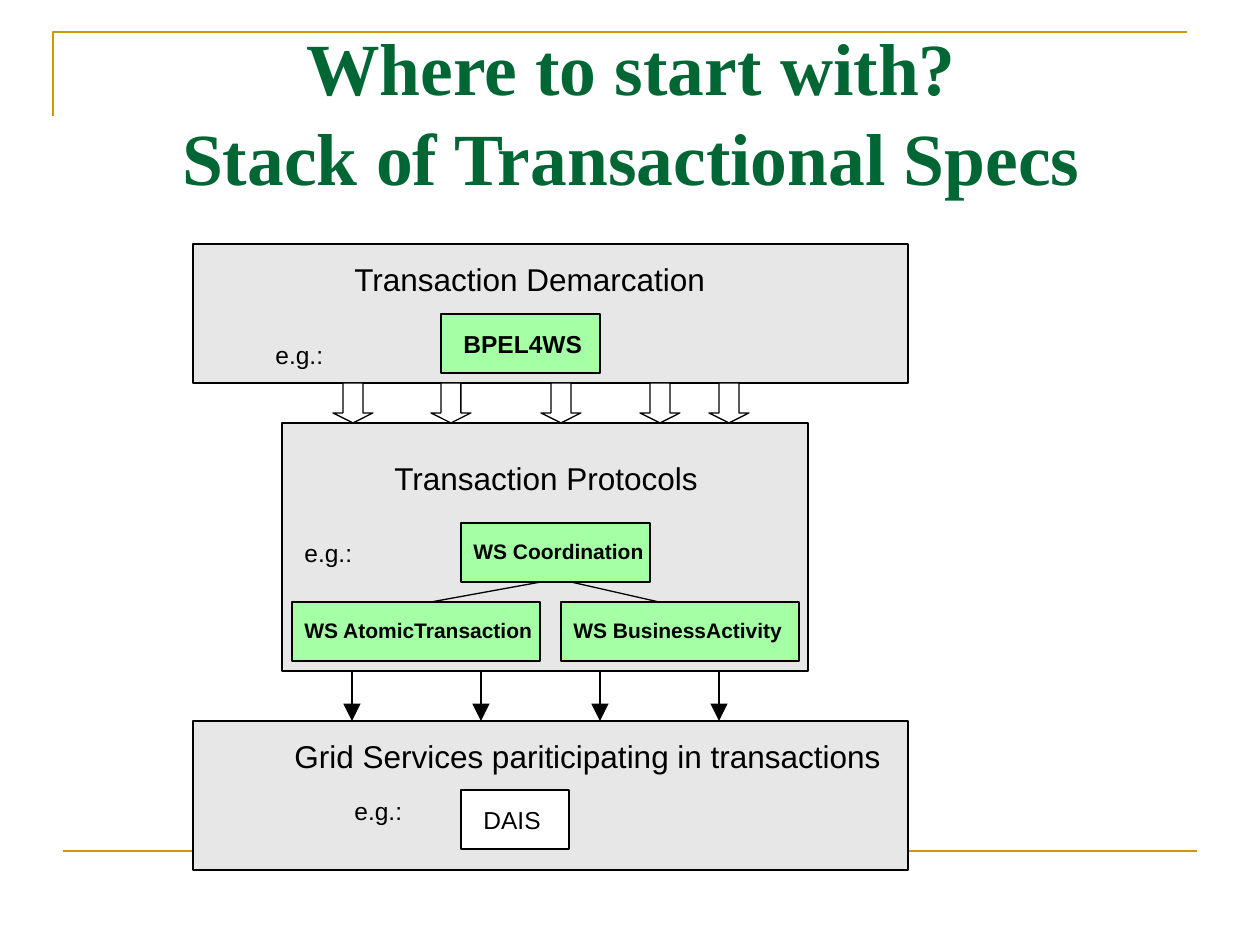
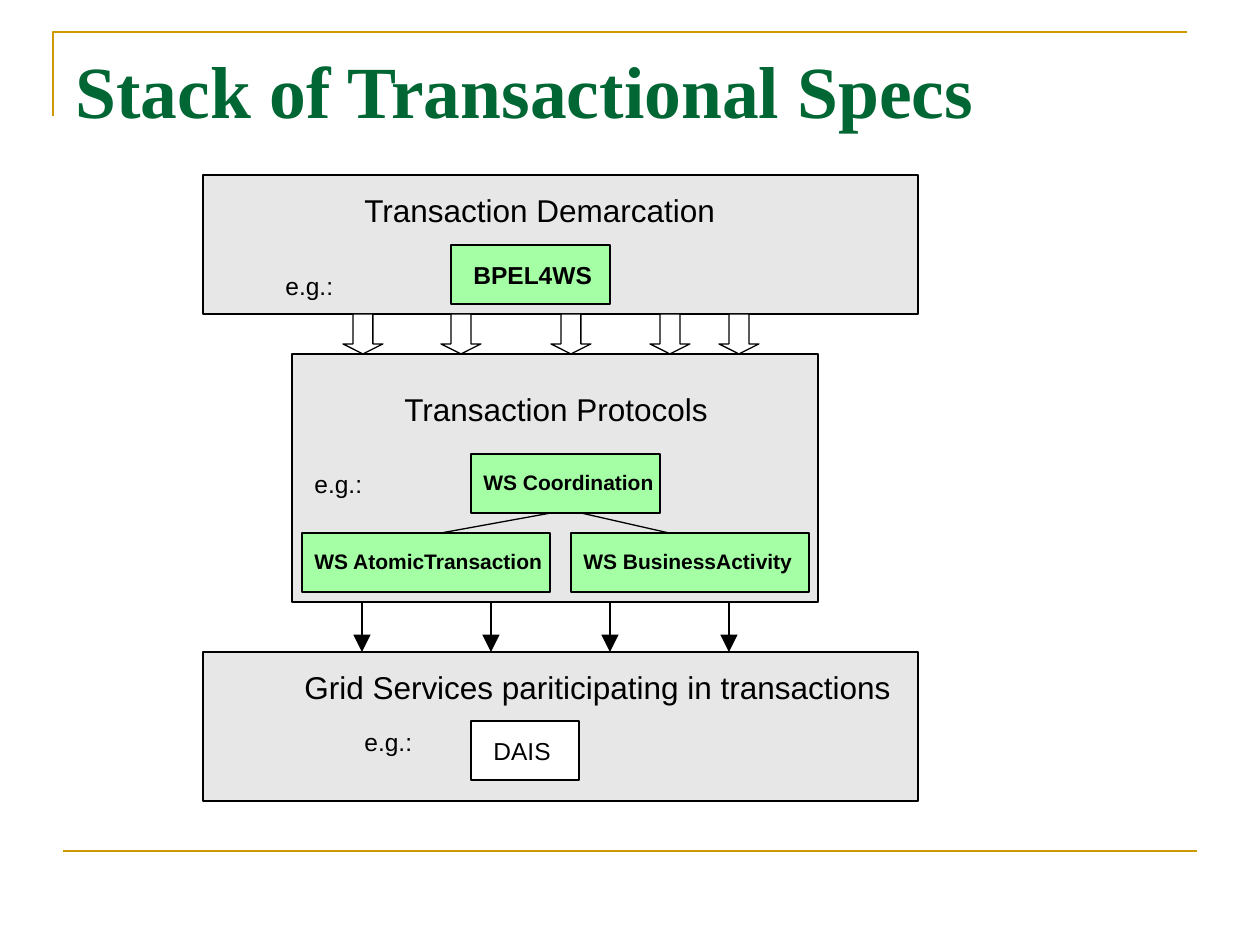
from lxml import etree
from pptx import Presentation, util as u
from pptx.dml.color import RGBColor
from pptx.enum import shapes, text
from pptx.oxml.ns import qn

PX = u.Inches(1) / 126
GOLD, GREEN, BLACK, WHITE = "CC9900", "006633", "000000", "FFFFFF"
PANEL, SPEC = "E7E7E7", "A5FFA5"
TITLE = {"name": "Times New Roman", "size": u.Pt(42), "bold": True}
HEADING = {"name": "Arial", "size": u.Pt(18), "bold": False}
BODY = {"name": "Arial", "size": u.Pt(14), "bold": False}
BODY_BOLD = {**BODY, "bold": True}
SMALL_BOLD = {**BODY_BOLD, "size": u.Pt(12)}
TEXT_HEIGHT = {18: 50, 14: 43, 12: 38}


def px(n):
    return u.Emu(round(n * PX))


def color(hex_string):
    return RGBColor.from_string(hex_string)


class Deck:
    def __init__(self):
        self.prs = Presentation()
        self.prs.slide_width, self.prs.slide_height = px(1260), px(945)
        self.s = None
        self.origin = (0, 0)

    def at(self, x, y):
        return px(self.origin[0] + x), px(self.origin[1] + y)

    def new_slide(self):
        self.s = self.prs.slides.add_slide(self.prs.slide_layouts[5])
        self.origin = (0, 0)
        # Gold corner at the top and rule at the bottom
        builder = self.s.shapes.build_freeform(53, 116, scale=PX)
        builder.add_line_segments([(53, 32), (1187, 32)], close=False)
        sp = builder.convert_to_shape()
        sp.shadow.inherit = False
        sp.fill.background()
        self.outline(sp, GOLD, 1.5)
        self.line(63, 851, 1197, 851, GOLD, 1.5)

    def outline(self, sp, hex_string, width):
        sp.line.color.rgb = color(hex_string)
        sp.line.width = u.Pt(width)

    def format_runs(self, p, font, hex_string):
        for r in p.runs:
            for name, value in font.items():
                setattr(r.font, name, value)
            r.font.color.rgb = color(hex_string)

    def title(self, words, x, y, w, h, align):
        sp = self.s.shapes.title
        sp.left, sp.top, sp.width, sp.height = map(px, (x, y, w, h))
        tf = sp.text_frame
        tf.text = words
        tf.word_wrap = True
        tf.auto_size = text.MSO_AUTO_SIZE.NONE
        tf.vertical_anchor = text.MSO_ANCHOR.TOP
        p = tf.paragraphs[0]
        p.alignment = align
        p.line_spacing = u.Pt(51)
        self.format_runs(p, TITLE, GREEN)

    def shape(self, kind, x, y, w, h, fill):
        sp = self.s.shapes.add_shape(kind, *self.at(x, y), px(w), px(h))
        sp.shadow.inherit = False
        sp.fill.solid()
        sp.fill.fore_color.rgb = color(fill)
        self.outline(sp, BLACK, 0.75)
        return sp

    def box(self, x, y, w, h, fill):
        return self.shape(shapes.MSO_SHAPE.RECTANGLE, x, y, w, h, fill)

    def label(self, words, x, y, w, font):
        h = TEXT_HEIGHT[int(font["size"].pt)]
        tf = self.s.shapes.add_textbox(*self.at(x, y), px(w), px(h)).text_frame
        tf.text = words
        tf.word_wrap = False
        tf.auto_size = text.MSO_AUTO_SIZE.NONE
        tf.paragraphs[0].alignment = text.PP_ALIGN.LEFT
        self.format_runs(tf.paragraphs[0], font, BLACK)

    def line(self, x1, y1, x2, y2, hex_string=BLACK, width=0.75, arrow=False):
        cx = self.s.shapes.add_connector(
            shapes.MSO_CONNECTOR.STRAIGHT, *self.at(x1, y1), *self.at(x2, y2))
        self.outline(cx, hex_string, width)
        if arrow:
            etree.SubElement(cx.line._get_or_add_ln(), qn("a:tailEnd"),
                             type="triangle", w="lg", len="lg")
        etree.SubElement(cx._element.spPr, qn("a:effectLst"))

    def stack(self, x, y):
        """Draw the stack of specifications with its top left corner at x, y."""
        self.origin = (x, y)
        # Three layers and their headings
        for layer in ((0, 0, 715, 139), (89, 179, 526, 248), (0, 477, 715, 149)):
            self.box(*layer, PANEL)
        for words, left, top, w in (
                ("Grid Services pariticipating in transactions", 89, 487, 620),
                ("Transaction Demarcation", 149, 10, 385),
                ("Transaction Protocols", 189, 209, 338)):
            self.label(words, left, top, w, HEADING)

        # Example specifications: box, then label moved in by the indent
        for words, left, top, w, fill, font, label_w, indent in (
                ("WS Coordination", 268, 279, 189, SPEC, SMALL_BOLD, 204, 0),
                ("WS AtomicTransaction", 99, 358, 248, SPEC, SMALL_BOLD, 262, 0),
                ("WS BusinessActivity", 368, 358, 238, SPEC, SMALL_BOLD, 242, 0),
                ("BPEL4WS", 248, 70, 159, SPEC, BODY_BOLD, 152, 10),
                ("DAIS", 268, 546, 108, WHITE, BODY, 92, 10)):
            self.box(left, top, w, 59, fill)
            self.label(words, left + indent, top + 9, label_w, font)
        for left, top in ((99, 288), (70, 90), (149, 546)):
            self.label("e.g.:", left, top, 82, BODY)

        # Branches below WS Coordination
        for start, end in ((238, 348), (466, 378)):
            self.line(start, 358, end, 338)

        # Arrows between the layers
        for left in (140, 238, 348, 447, 516):
            sp = self.shape(shapes.MSO_SHAPE.DOWN_ARROW, left, 139, 40, 40, WHITE)
            sp.adjustments[0], sp.adjustments[1] = 0.5, 0.25
        for middle in (159, 288, 407, 526):
            self.line(middle, 427, middle, 477, width=1.5, arrow=True)


def main():
    deck = Deck()

    # Slide 1: where to start
    deck.new_slide()
    deck.title("Where to start with?\vStack of Transactional Specs",
               64, 15, 1134, 179, text.PP_ALIGN.CENTER)
    deck.stack(193, 244)

    # Slide 2: the stack alone
    deck.new_slide()
    deck.title("Stack of Transactional Specs", 63, 38, 1134, 158, text.PP_ALIGN.LEFT)
    deck.stack(203, 175)

    deck.prs.save("out.pptx")


if __name__ == "__main__":
    main()
